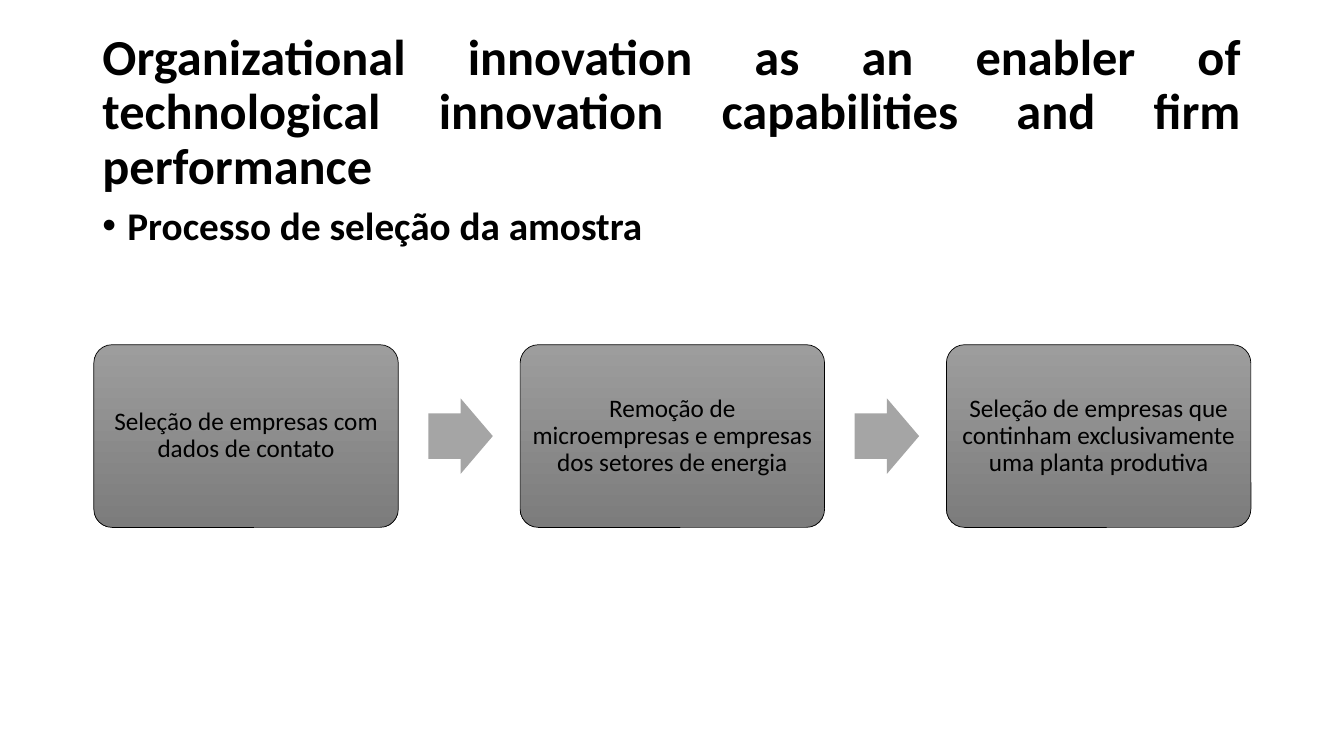
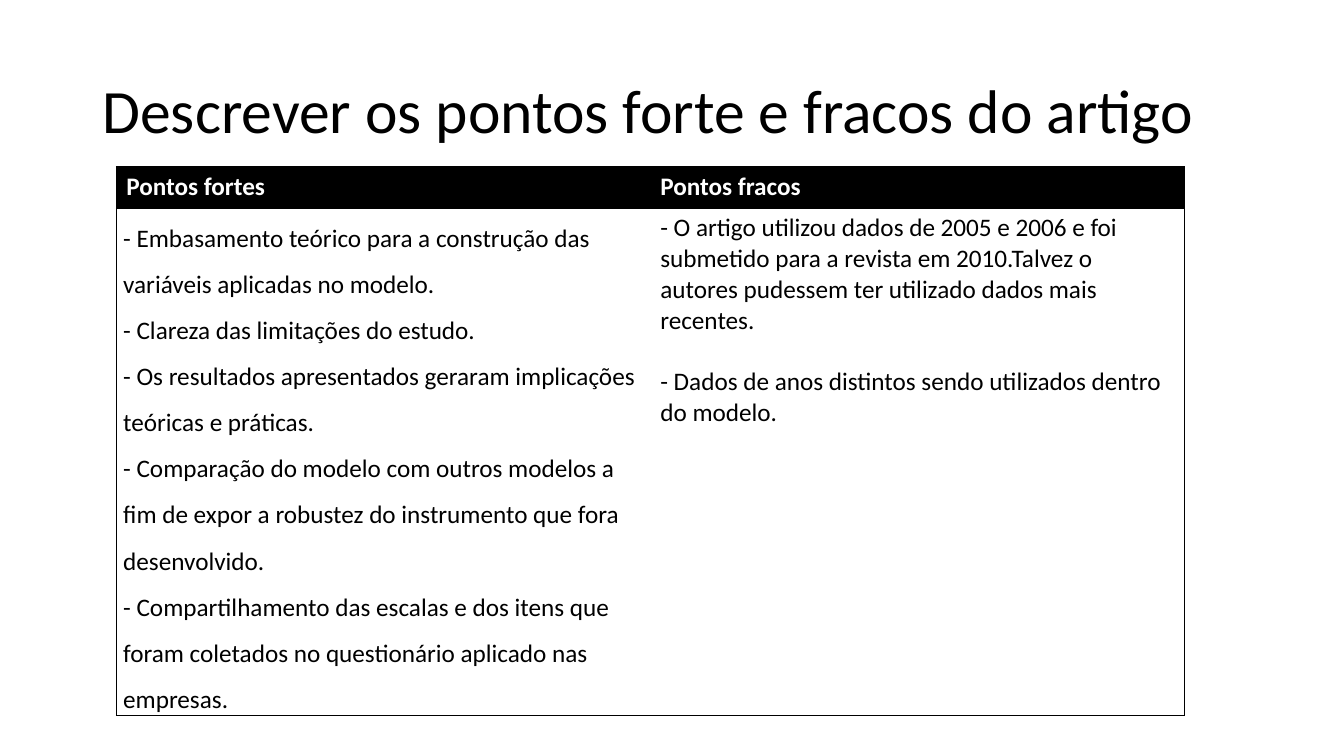
from lxml import etree
from pptx import Presentation
from pptx.dml.color import RGBColor
from pptx.enum.shapes import MSO_SHAPE
from pptx.enum.text import MSO_ANCHOR, MSO_AUTO_SIZE, PP_ALIGN
from pptx.oxml.ns import qn
from pptx.util import Pt

BLACK = RGBColor(0x00, 0x00, 0x00)
WHITE = RGBColor(0xFF, 0xFF, 0xFF)
STEP_TOP = RGBColor(0x9D, 0x9D, 0x9D)
STEP_BOTTOM = RGBColor(0x7C, 0x7C, 0x7C)
ARROW_GRAY = RGBColor(0xA5, 0xA5, 0xA5)

ROUNDED, ARROW = MSO_SHAPE.ROUNDED_RECTANGLE, MSO_SHAPE.RIGHT_ARROW
LEFT, CENTER, JUSTIFY = PP_ALIGN.LEFT, PP_ALIGN.CENTER, PP_ALIGN.JUSTIFY
TOP, MIDDLE = MSO_ANCHOR.TOP, MSO_ANCHOR.MIDDLE
NO_AUTO_SIZE = MSO_AUTO_SIZE.NONE

FONT = "Calibri"
BODY_SIZE = 18
TIGHT = 0.9
HAIRLINE = Pt(0.5)
CONTENT_LEFT, CONTENT_WIDTH = 66, 828

STEPS = [
    "Seleção de empresas com dados de contato",
    "Remoção de microempresas e empresas dos setores de energia",
    "Seleção de empresas que continham exclusivamente uma planta produtiva",
]
STRENGTHS = [
    "- Embasamento teórico para a construção das variáveis aplicadas no modelo.",
    "- Clareza das limitações do estudo.",
    "- Os resultados apresentados geraram implicações teóricas e práticas.",
    "- Comparação do modelo com outros modelos a fim de expor a robustez do "
    "instrumento que fora desenvolvido.",
    "- Compartilhamento das escalas e dos itens que foram coletados no "
    "questionário aplicado nas empresas.",
]
WEAKNESSES = [
    "- O artigo utilizou dados de 2005 e 2006 e foi submetido para a revista em "
    "2010.Talvez o autores pudessem ter utilizado dados mais recentes.",
    "- Dados de anos distintos sendo utilizados dentro do modelo.",
]


def points(*lengths):
    return [Pt(length) for length in lengths]


class Deck:
    """Holds the presentation, its shared style and the current slide."""

    def __init__(self):
        self.presentation = Presentation()
        self.presentation.slide_width = Pt(960)
        self.presentation.slide_height = Pt(540)
        self.slide = None

    def set_text(self, frame, lines, size=BODY_SIZE, color=BLACK, bold=False,
                 align=LEFT, spacing=1.0, gap=0):
        """Fill a text frame with one paragraph per line, gap points apart."""
        frame.text = "\n".join(lines)
        frame.word_wrap = True
        for index, paragraph in enumerate(frame.paragraphs):
            paragraph.alignment = align
            paragraph.line_spacing = spacing
            paragraph.space_before = Pt(gap if index else 0)
            for run in paragraph.runs:
                run.font.name = FONT
                run.font.size = Pt(size)
                run.font.bold = bold
                run.font.color.rgb = color

    def new_slide(self, heading, size, **style):
        layout = self.presentation.slide_layouts[5]
        self.slide = self.presentation.slides.add_slide(layout)
        title = self.slide.shapes.title
        title.left, title.top, title.width, title.height = points(
            CONTENT_LEFT, 29, CONTENT_WIDTH, 104)
        frame = title.text_frame
        frame.auto_size = NO_AUTO_SIZE
        frame.vertical_anchor = MIDDLE
        self.set_text(frame, [heading], size, spacing=TIGHT, **style)

    def bullet(self, text, top, height):
        box = self.slide.shapes.add_textbox(
            *points(CONTENT_LEFT, top, CONTENT_WIDTH, height))
        self.set_text(box.text_frame, [text], 28, bold=True, align=JUSTIFY,
                      spacing=TIGHT)
        properties = box.text_frame.paragraphs[0]._p.get_or_add_pPr()
        properties.set("marL", str(Pt(18)))
        properties.set("indent", str(-Pt(18)))
        etree.SubElement(properties, qn("a:buFont"), typeface="Arial")
        etree.SubElement(properties, qn("a:buChar"), char="•")

    def shape(self, preset, left, top, width, height, *adjustments):
        shape = self.slide.shapes.add_shape(preset, *points(left, top, width, height))
        shape.shadow.inherit = False
        for index, value in enumerate(adjustments):
            shape.adjustments[index] = value
        return shape

    def step(self, text, left, top, width, height):
        box = self.shape(ROUNDED, left, top, width, height, 0.1)
        box.fill.gradient()
        box.fill.gradient_angle = 270
        for stop, color in zip(box.fill.gradient_stops, (STEP_TOP, STEP_BOTTOM)):
            stop.color.rgb = color
        box.line.color.rgb = BLACK
        box.line.width = HAIRLINE
        frame = box.text_frame
        frame.vertical_anchor = MIDDLE
        frame.margin_left = frame.margin_right = Pt(5)
        frame.margin_top = frame.margin_bottom = Pt(5)
        self.set_text(frame, [text], align=CENTER, spacing=TIGHT)

    def arrow(self, left, top, width, height):
        arrow = self.shape(ARROW, left, top, width, height, 0.6, 0.5)
        arrow.fill.solid()
        arrow.fill.fore_color.rgb = ARROW_GRAY
        arrow.line.fill.background()

    def process(self, steps):
        """Draw the steps in a row with an arrow in each gap."""
        left, middle, pitch = 67, 311.5, 304.5
        width, height = 217.5, 130.5
        arrow_offset, arrow_width, arrow_height = 239, 46, 54
        for index, text in enumerate(steps):
            step_left = left + index * pitch
            if index:
                self.arrow(step_left - pitch + arrow_offset, middle - arrow_height / 2,
                           arrow_width, arrow_height)
            self.step(text, step_left, middle - height / 2, width, height)

    def borders(self, cell, drawn):
        """Draw the cell sides named in drawn (L, R, T, B) and clear the others."""
        properties = cell._tc.get_or_add_tcPr()
        for side in "LRTB":
            line = etree.SubElement(properties, qn(f"a:ln{side}"), w=str(HAIRLINE))
            if side in drawn:
                fill = etree.SubElement(line, qn("a:solidFill"))
                etree.SubElement(fill, qn("a:srgbClr"), val=str(BLACK))
            else:
                etree.SubElement(line, qn("a:noFill"))

    def comparison(self, headings, strengths, weaknesses):
        """Draw a two-column table with a black heading row."""
        row_heights = (29.5, 362.5)
        table = self.slide.shapes.add_table(
            2, 2, *points(83, 119, 763, sum(row_heights))).table
        for row, height in zip(table.rows, row_heights):
            row.height = Pt(height)
        for column, (heading, outer_side) in enumerate(zip(headings, "LR")):
            header, body = table.cell(0, column), table.cell(1, column)
            self.borders(header, outer_side + "T")
            header.fill.solid()
            header.fill.fore_color.rgb = BLACK
            self.set_text(header.text_frame, [heading], color=WHITE, bold=True,
                          align=JUSTIFY)
            self.borders(body, outer_side + "TB")
            body.fill.background()
            body.vertical_anchor = TOP
        strong, weak = table.cell(1, 0), table.cell(1, 1)
        strong.margin_left = strong.margin_right = Pt(5)
        strong.margin_top = strong.margin_bottom = 0
        self.set_text(strong.text_frame, strengths, spacing=1.5)
        self.set_text(weak.text_frame, weaknesses, gap=22)


def main():
    deck = Deck()
    deck.new_slide("Organizational innovation as an enabler of technological "
                   "innovation capabilities and firm performance",
                   36, bold=True, align=JUSTIFY)
    deck.process(STEPS)
    deck.bullet("Processo de seleção da amostra", 144, 343)

    deck.new_slide("Descrever os pontos forte e fracos do artigo", 44)
    deck.comparison(("Pontos fortes", "Pontos fracos"), STRENGTHS, WEAKNESSES)
    deck.presentation.save("out.pptx")


if __name__ == "__main__":
    main()
